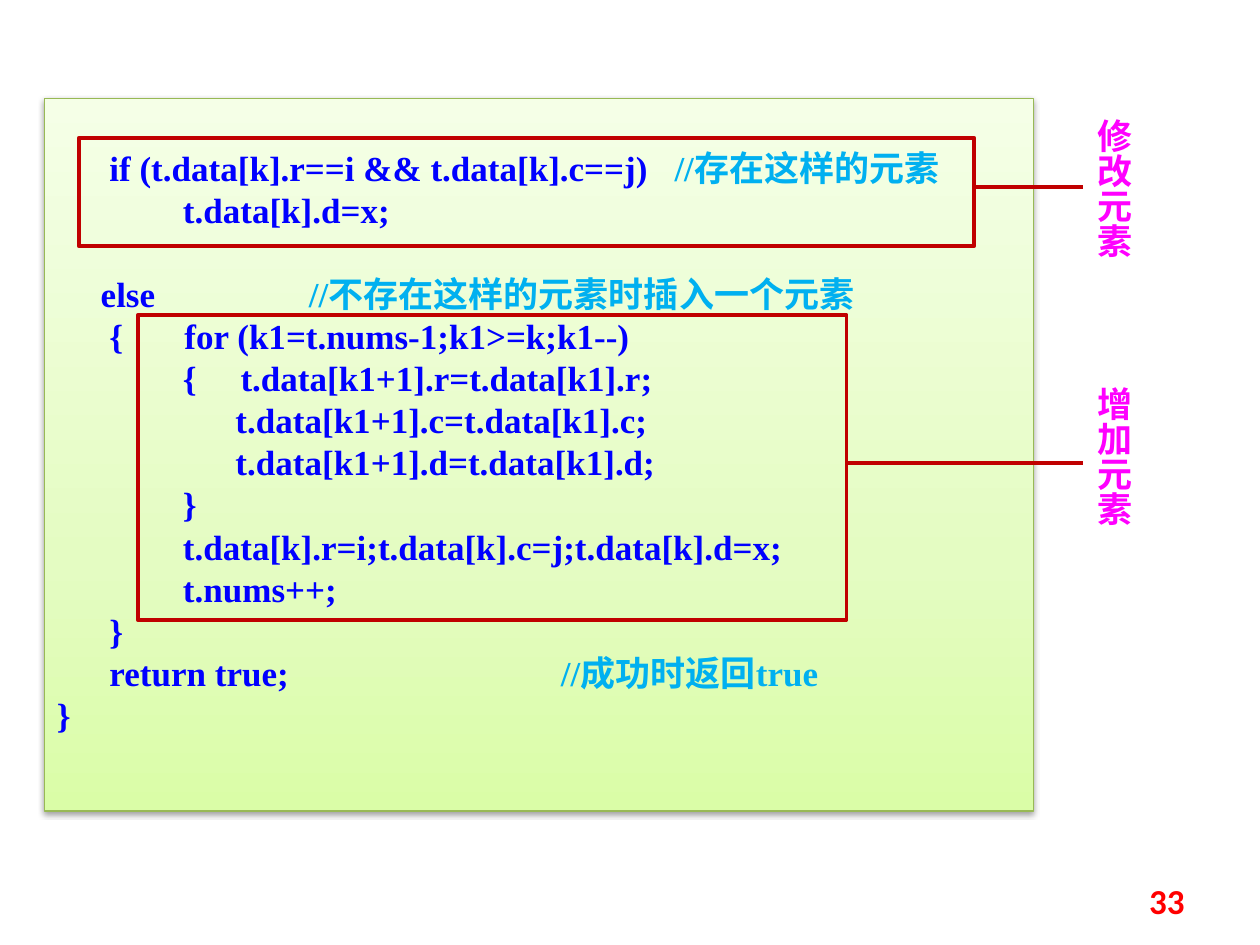
"""Build a slide of code that sets a sparse-matrix element, with two annotated branches."""
from copy import deepcopy

from lxml import etree
from pptx import Presentation
from pptx import util as u
from pptx.dml.color import RGBColor
from pptx.enum import shapes, text
from pptx.oxml import ns

BLUE, SKY, RED, MAGENTA = "0000FF", "00B0F0", "C00000", "FF00FF"
COLUMNS = 100


def color(value):
    return RGBColor.from_string(value)


def write(paragraph, words, ink, font="Times New Roman"):
    run = paragraph.add_run()
    run.text = words
    run.font.name = font
    run.font.size = u.Pt(20)
    run.font.bold = True
    run.font.color.rgb = color(ink)


presentation = Presentation()
presentation.slide_width, presentation.slide_height = u.Inches(10), u.Inches(7.5)
cell = presentation.slide_width // COLUMNS
slide = presentation.slides.add_slide(presentation.slide_layouts[6])

panel = slide.shapes.add_shape(
    shapes.MSO_SHAPE.RECTANGLE, *(round(cell * n) for n in (3.54, 7.82, 78.5, 56.54)))
panel.line.color.rgb = color("98B955")
panel.line.width = u.Pt(0.75)
panel.fill.gradient()
panel.fill.gradient_angle = 90
stop_list = panel._element.spPr.find(".//" + ns.qn("a:gsLst"))
stop_list.append(deepcopy(stop_list[0]))
gradient = [(0, "DAFDA7"), (0.35, "E4FCC2"), (1, "F5FFE7")]
for stop, (position, tint) in zip(panel.fill.gradient_stops, gradient):
    stop.position = position
    stop.color.rgb = color(tint)

panel.shadow.inherit = False
effects = panel._element.spPr.find(ns.qn("a:effectLst"))
shadow = etree.SubElement(
    effects, ns.qn("a:outerShdw"), blurRad=str(u.Pt(3.1)), dist=str(u.Pt(1.6)),
    dir="5400000", rotWithShape="0")
black = etree.SubElement(shadow, ns.qn("a:srgbClr"), val="000000")
etree.SubElement(black, ns.qn("a:alpha"), val="38000")

code = [
    ("      if (t.data[k].r==i && t.data[k].c==j)   ", "//存在这样的元素"),
    ("\tt.data[k].d=x;", ""),
    ("     else\t\t", "//不存在这样的元素时插入一个元素"),
    ("      {       for (k1=t.nums-1;k1>=k;k1--)", ""),
    ("\t{     t.data[k1+1].r=t.data[k1].r;", ""),
    ("\t      t.data[k1+1].c=t.data[k1].c;", ""),
    ("\t      t.data[k1+1].d=t.data[k1].d;", ""),
    ("\t}", ""),
    ("\tt.data[k].r=i;t.data[k].c=j;t.data[k].d=x;", ""),
    ("\tt.nums++;", ""),
    ("      }", ""),
    ("      return true;\t\t\t", "//成功时返回true"),
    ("}", ""),
]
line_height = u.Pt(24)
frame = panel.text_frame
frame.word_wrap = True
frame.vertical_anchor = text.MSO_ANCHOR.TOP
frame.margin_top = u.Inches(0.05) + line_height
for index, (statement, comment) in enumerate(code):
    paragraph = frame.add_paragraph() if index else frame.paragraphs[0]
    paragraph.alignment = text.PP_ALIGN.LEFT
    paragraph.line_spacing = line_height
    if "else" in statement:
        paragraph.space_before = line_height
    if "\t" in statement:
        tabs = etree.SubElement(paragraph._p.get_or_add_pPr(), ns.qn("a:tabLst"))
        for inch in range(1, 5):
            etree.SubElement(tabs, ns.qn("a:tab"), pos=str(u.Inches(inch)), algn="l")
    write(paragraph, statement, BLUE)
    if comment:
        write(paragraph, comment, SKY)

branches = [
    ("修改元素", (6.25, 10.94, 71.06, 8.6), 14.83, (8.46, 15.8)),
    ("增加元素", (10.94, 25, 56.25, 24.2), 36.74, (29.7, 14.1)),
]
for label, area, leader_row, (label_row, label_rows) in branches:
    outline = slide.shapes.add_shape(
        shapes.MSO_SHAPE.RECTANGLE, *(round(cell * n) for n in area))
    outline.shadow.inherit = False
    outline.fill.background()

    ends = (area[0] + area[2], leader_row, 85.94, leader_row)
    leader = slide.shapes.add_connector(
        shapes.MSO_CONNECTOR.STRAIGHT, *(round(cell * n) for n in ends))
    etree.SubElement(leader._element.spPr, ns.qn("a:effectLst"))
    for shape in (outline, leader):
        shape.line.color.rgb = color(RED)
        shape.line.width = u.Pt(2.25)

    caption = slide.shapes.add_textbox(
        *(round(cell * n) for n in (85.15, label_row, 5.4, label_rows)))
    caption.text_frame.word_wrap = True
    caption.text_frame._txBody.bodyPr.set("vert", "eaVert")
    write(caption.text_frame.paragraphs[0], label, MAGENTA)

number = slide.shapes.add_textbox(*(round(cell * n) for n in (71.7, 69.5, 23.3, 4)))
number.text_frame.word_wrap = True
number.text_frame.vertical_anchor = text.MSO_ANCHOR.MIDDLE
number.text_frame.paragraphs[0].alignment = text.PP_ALIGN.RIGHT
write(number.text_frame.paragraphs[0], "33", "FF0000", "Calibri")

presentation.save("out.pptx")
